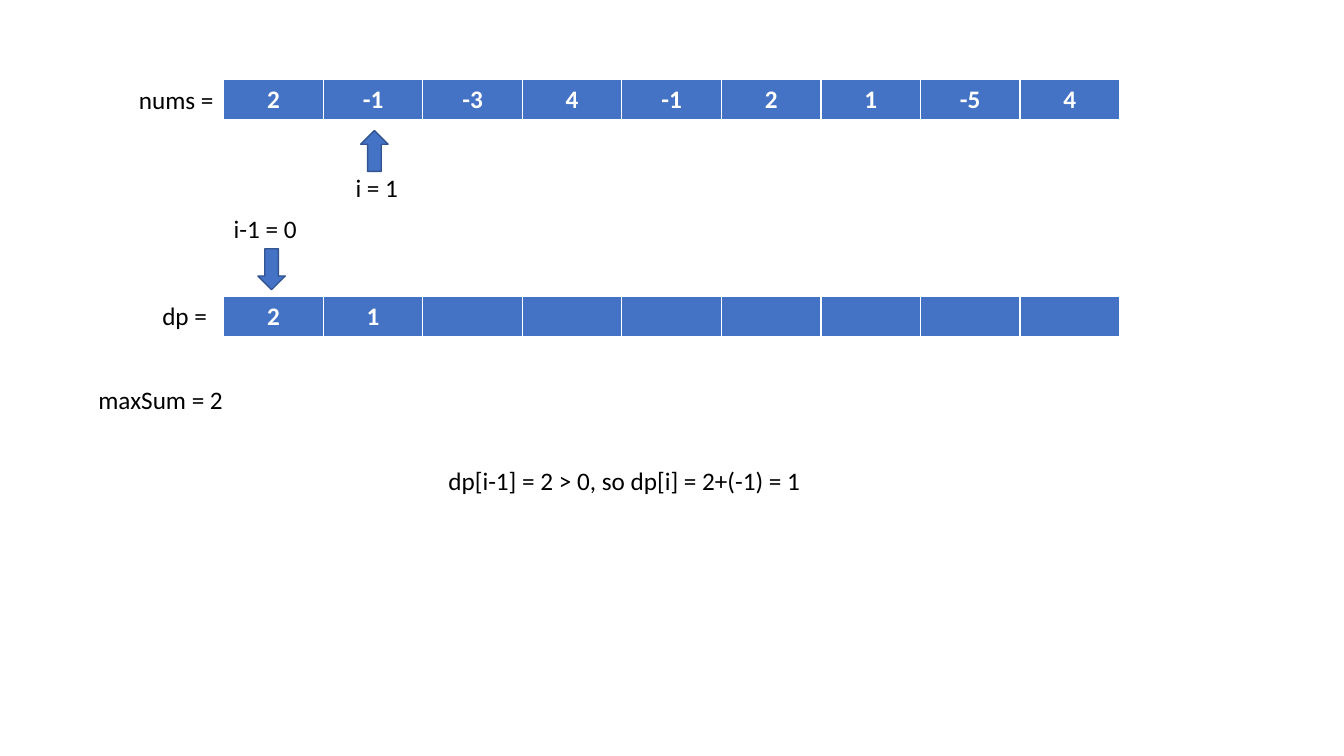
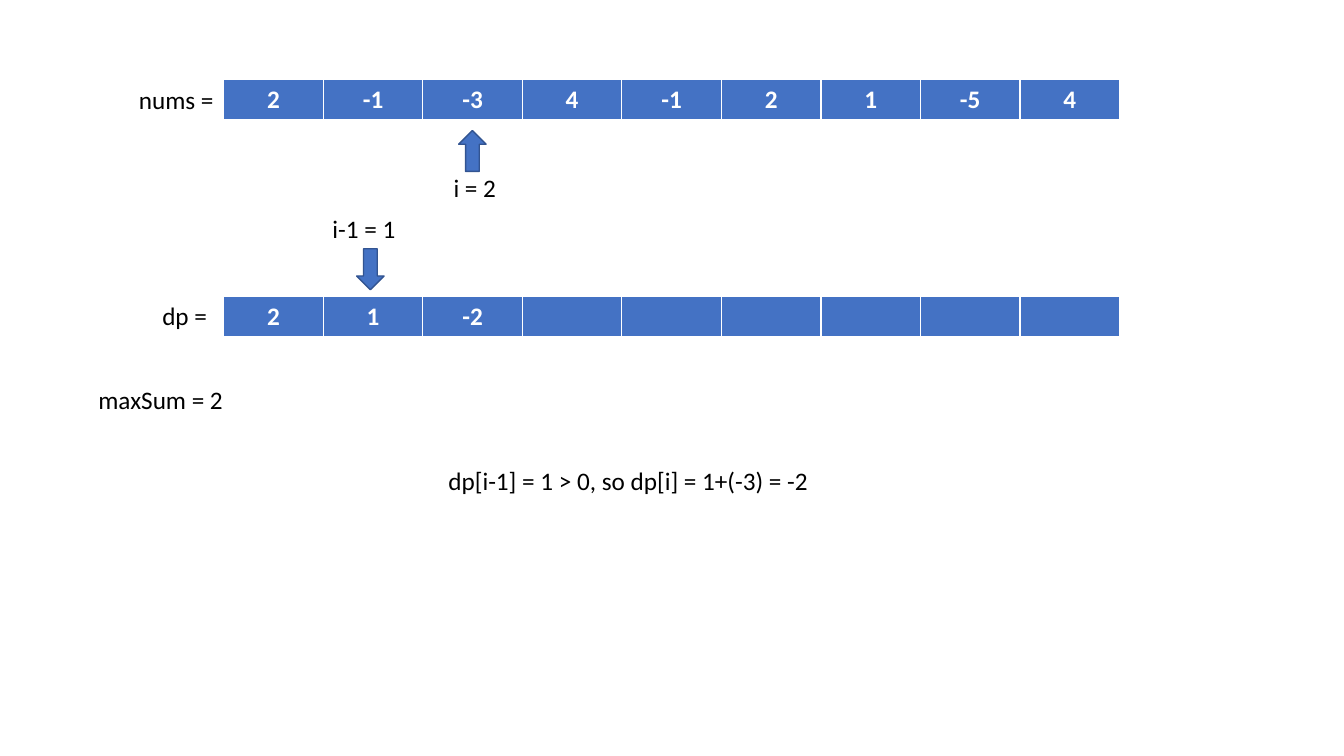
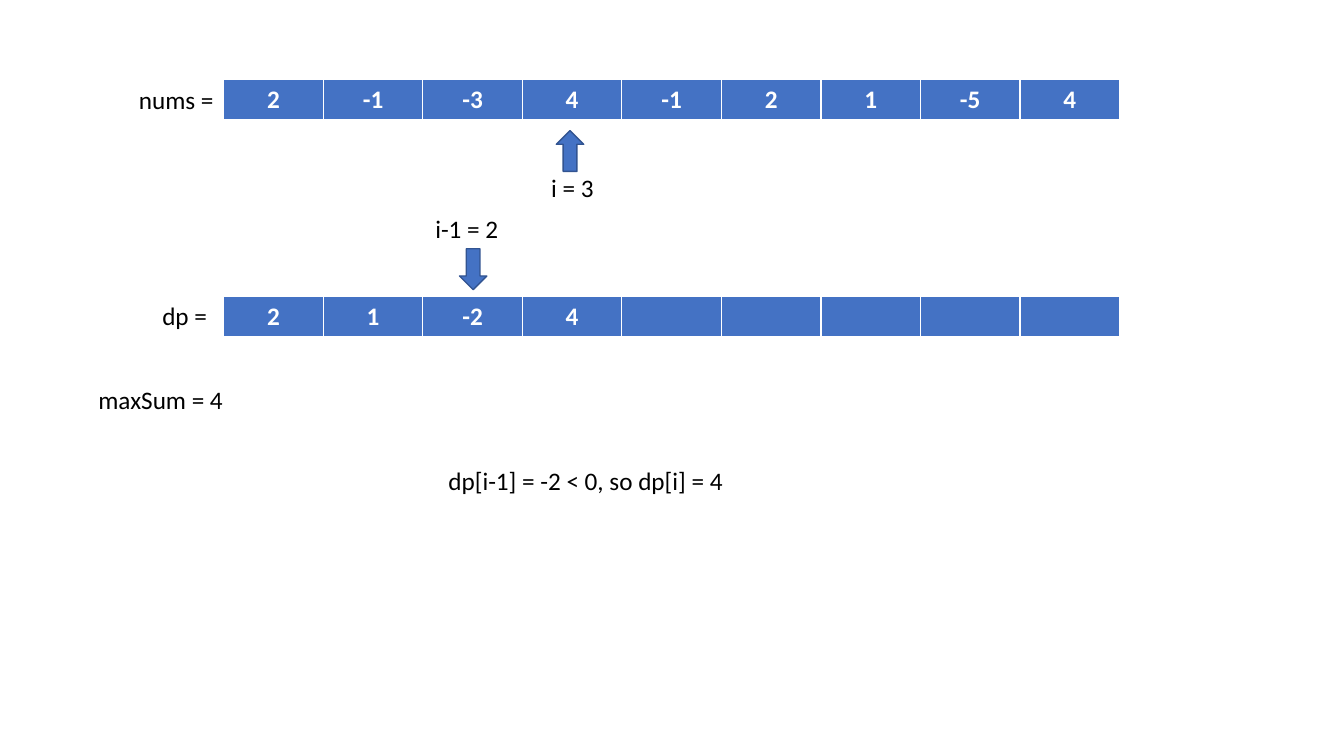
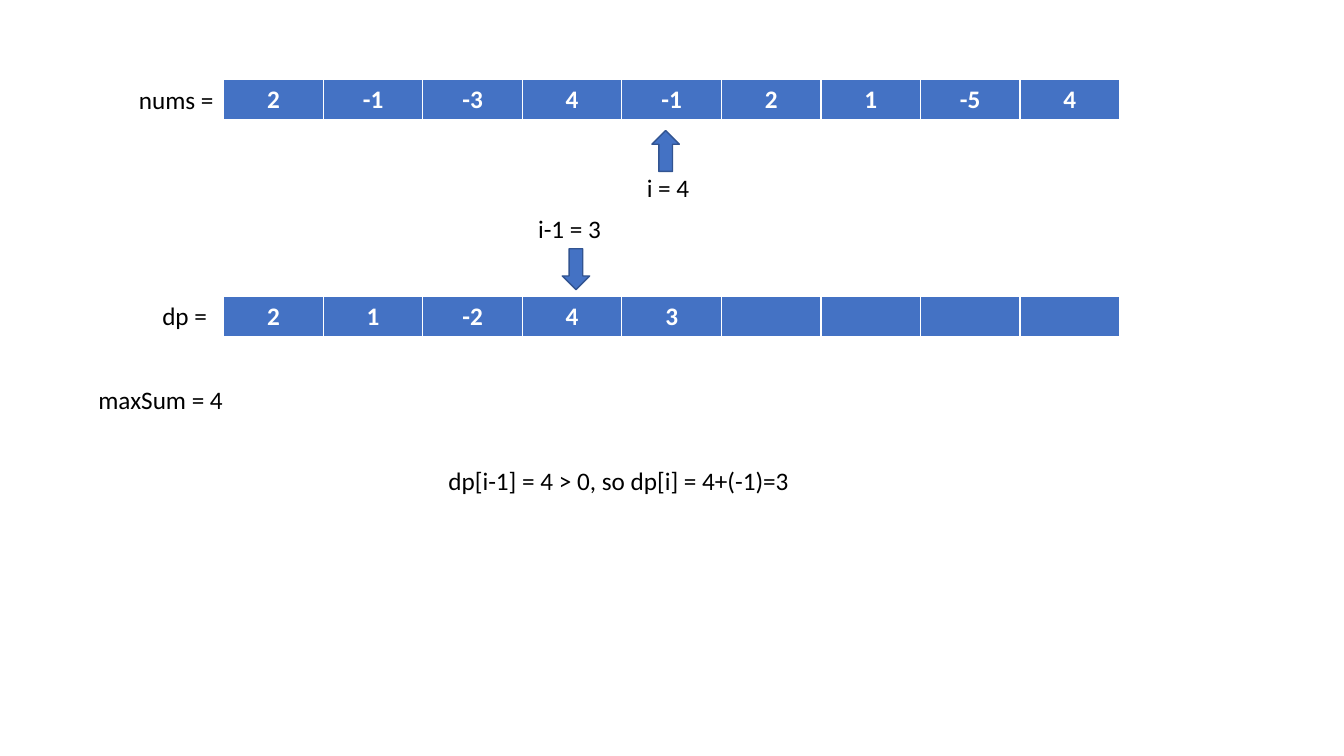
import dataclasses
import typing

import lxml.etree
import pptx
import pptx.dml.color
import pptx.enum.shapes
import pptx.enum.text
import pptx.oxml.ns
import pptx.shapes.shapetree
import pptx.slide
import pptx.table
import pptx.text.text
import pptx.util

Cm = pptx.util.Cm
Pt = pptx.util.Pt
RGBColor = pptx.dml.color.RGBColor
Align = pptx.enum.text.PP_ALIGN
Shapes = typing.Union[
    pptx.shapes.shapetree.SlideShapes, pptx.shapes.shapetree.GroupShapes
]

BLUE = RGBColor(0x44, 0x72, 0xC4)
NAVY = RGBColor(0x32, 0x54, 0x91)
BLACK = RGBColor(0, 0, 0)
WHITE = RGBColor(0xFF, 0xFF, 0xFF)
FONT = "Calibri"

NUMS = (2, -1, -3, 4, -1, 2, 1, -5, 4)
SUMS = (2, 1, -2, 4, 3)

ROW_LEFT, ROW_WIDTH, ROW_HIGH = 5.64, 22.58, 1.04
NUMS_TOP, SUMS_TOP = 2.01, 7.47
TEXT_HIGH = 1.02
ARROW_WIDE, ARROW_HIGH = 0.69, 1.03
EDGES = {"lnL": 1, "lnR": 1, "lnT": 1, "lnB": 3}


@dataclasses.dataclass(frozen=True)
class Label:
    """A line of text with its place in cm."""

    text: str
    left: float
    top: float
    width: float


@dataclasses.dataclass(frozen=True)
class Marker:
    """An arrow with its label; the shift runs from arrow to label."""

    left: float
    top: float
    turn: int
    shift: float
    label_top: float
    label_width: float


@dataclasses.dataclass(frozen=True)
class Step:
    """One pass of the loop: both arrow places and the reasoning."""

    up_left: float
    down_left: float
    note: str


STEPS = (
    Step(9.09, 6.5, "dp[i-1] = 2 > 0, so dp[i] = 2+(-1) = 1"),
    Step(11.56, 8.99, "dp[i-1] = 1 > 0, so dp[i] = 1+(-3) = -2"),
    Step(14.02, 11.58, "dp[i-1] = -2 < 0, so dp[i] = 4"),
    Step(16.43, 14.17, "dp[i-1] = 4 > 0, so dp[i] = 4+(-1)=3"),
)


def write(
    frame: pptx.text.text.TextFrame,
    text: str,
    *,
    size: float = 18,
    color: RGBColor = BLACK,
    bold: bool = False,
    align: Align = Align.LEFT,
) -> None:
    """Put one formatted line of text in a frame."""
    line = frame.paragraphs[0]
    line.alignment = align
    run = line.add_run()
    run.text = text
    run.font.name = FONT
    run.font.size = Pt(size)
    run.font.bold = bold
    run.font.color.rgb = color


def add_label(shapes: Shapes, label: Label) -> None:
    """Draw a text box."""
    box = shapes.add_textbox(
        Cm(label.left), Cm(label.top), Cm(label.width), Cm(TEXT_HIGH)
    )
    frame = box.text_frame
    frame.word_wrap = True
    frame.auto_size = pptx.enum.text.MSO_AUTO_SIZE.SHAPE_TO_FIT_TEXT
    write(frame, label.text)


def add_edges(cell: pptx.table._Cell) -> None:
    """Give a filled cell its white borders."""
    qn = pptx.oxml.ns.qn
    props = cell._tc.get_or_add_tcPr()
    for place, (tag, width) in enumerate(EDGES.items()):
        edge = lxml.etree.Element(qn(f"a:{tag}"), w=str(Pt(width)))
        fill = lxml.etree.SubElement(edge, qn("a:solidFill"))
        lxml.etree.SubElement(fill, qn("a:srgbClr"), val=str(WHITE))
        props.insert(place, edge)


def add_row(shapes: Shapes, top: float, values: tuple[int, ...]) -> None:
    """Draw an array as a one-row table, with empty cells at its end."""
    count = len(NUMS)
    table = shapes.add_table(
        1, count, Cm(ROW_LEFT), Cm(top), Cm(ROW_WIDTH), Cm(ROW_HIGH)
    ).table
    table.first_row = table.horz_banding = False
    for index in range(count):
        cell = table.cell(0, index)
        cell.fill.solid()
        cell.fill.fore_color.rgb = BLUE
        add_edges(cell)
        if index < len(values):
            write(
                cell.text_frame,
                str(values[index]),
                color=WHITE,
                bold=True,
                align=Align.CENTER,
            )


def add_marker(shapes: Shapes, text: str, marker: Marker) -> None:
    """Draw an arrow and its label as a group."""
    group = shapes.add_group_shape().shapes
    arrow = group.add_shape(
        pptx.enum.shapes.MSO_SHAPE.DOWN_ARROW,
        Cm(marker.left),
        Cm(marker.top),
        Cm(ARROW_WIDE),
        Cm(ARROW_HIGH),
    )
    arrow.rotation = marker.turn
    arrow.shadow.inherit = False
    arrow.fill.solid()
    arrow.fill.fore_color.rgb = BLUE
    arrow.line.color.rgb = NAVY
    arrow.line.width = Pt(1)
    left = marker.left + marker.shift
    add_label(group, Label(text, left, marker.label_top, marker.label_width))


def add_step(slide: pptx.slide.Slide, index: int, step: Step) -> None:
    """Draw the state of both arrays at one index."""
    shapes = slide.shapes
    known = SUMS[: index + 1]
    add_row(shapes, NUMS_TOP, NUMS)
    add_row(shapes, SUMS_TOP, known)
    for label in (
        Label("nums = ", 3.25, 2.01, 2.62),
        Label("dp = ", 3.84, 7.45, 2.62),
        Label(f"maxSum = {max(known)}", 2.23, 9.56, 4.32),
        Label(step.note, 11.05, 11.59, 11.76),
    ):
        add_label(shapes, label)
    up = Marker(step.up_left, 3.29, 180, -0.38, 4.23, 1.78)
    down = Marker(step.down_left, 6.27, 0, -0.86, 5.26, 2.36)
    add_marker(shapes, f"i = {index}", up)
    add_marker(shapes, f"i-1 = {index - 1}", down)


def main() -> None:
    """Build and save the slides."""
    deck = pptx.Presentation()
    deck.slide_width = Cm(33.87)
    deck.slide_height = Cm(19.05)
    blank = deck.slide_layouts[6]
    for index, step in enumerate(STEPS, start=1):
        add_step(deck.slides.add_slide(blank), index, step)
    deck.save("out.pptx")


main()
